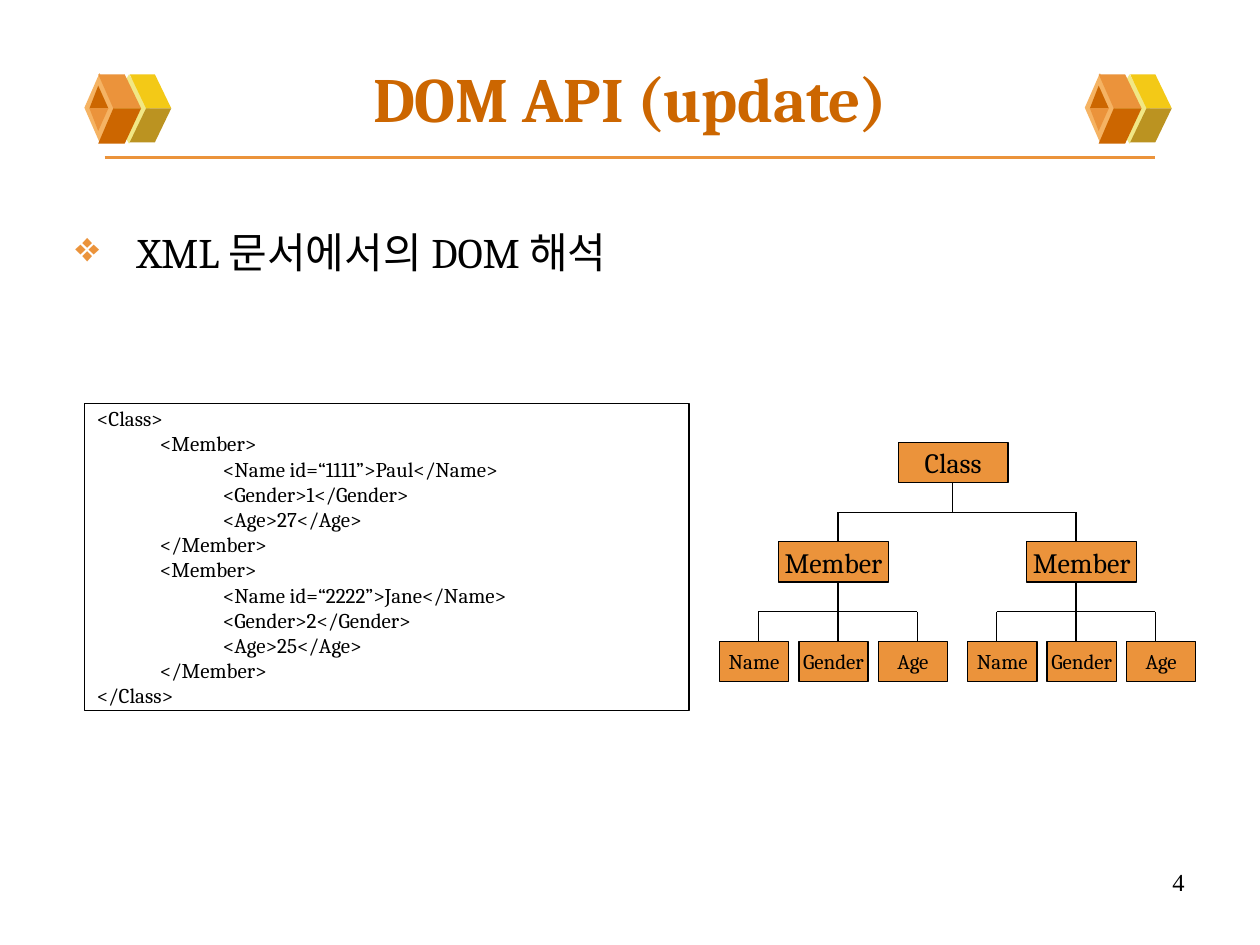
from dataclasses import dataclass

from lxml import etree
from pptx import Presentation
from pptx.dml.color import RGBColor
from pptx.enum.shapes import MSO_CONNECTOR, MSO_SHAPE
from pptx.enum.text import MSO_ANCHOR, PP_ALIGN
from pptx.oxml.ns import qn
from pptx.util import Inches, Pt

RECTANGLE, DIAMOND = MSO_SHAPE.RECTANGLE, MSO_SHAPE.DIAMOND
STRAIGHT = MSO_CONNECTOR.STRAIGHT
TOP, MIDDLE = MSO_ANCHOR.TOP, MSO_ANCHOR.MIDDLE
LEFT, CENTER, RIGHT = PP_ALIGN.LEFT, PP_ALIGN.CENTER, PP_ALIGN.RIGHT

BLACK, ORANGE, RUST, PEACH = "000000", "EB933B", "CC6600", "F5B363"
YELLOW, OLIVE, CREAM = "F3C917", "BB9321", "F1E785"
SERIF = "Cambria"
NODE_HEIGHT = 0.32
EMBLEM_SHIFT = 7.94

CODE = """<Class>
\t<Member>
\t\t<Name id=“1111”>Paul</Name>
\t\t<Gender>1</Gender>
\t\t<Age>27</Age>
\t</Member>
\t<Member>
\t\t<Name id=“2222”>Jane</Name>
\t\t<Gender>2</Gender>
\t\t<Age>25</Age>
\t</Member>
</Class>"""


@dataclass
class Facet:
    points: tuple[tuple[float, float], ...]
    fill: str


@dataclass
class Node:
    label: str
    left: float
    top: float
    stem: float
    width: float = 0.87
    size: int = 16
    children: tuple["Node", ...] = ()


RIGHT_FACETS = (
    Facet(((1.16, 0.86), (1.36, 0.86), (1.23, 0.59), (1.03, 0.59)), YELLOW),
    Facet(((1.16, 0.86), (1.36, 0.86), (1.23, 1.13), (1.03, 1.13)), OLIVE),
)
LEFT_FACETS = (
    Facet(((0.9, 0.86), (1.12, 0.86), (0.99, 0.59), (0.78, 0.59)), ORANGE),
    Facet(((0.9, 0.86), (1.12, 0.86), (0.99, 1.14), (0.78, 1.14)), RUST),
    Facet(((0.78, 0.68), (0.71, 0.86), (0.86, 0.86)), RUST),
    Facet(((0.78, 1.04), (0.71, 0.86), (0.86, 0.86)), ORANGE),
)


def color(code: str) -> RGBColor:
    return RGBColor.from_string(code)


def paint(shape, fill: str | None, outline: str | None = None) -> None:
    shape.shadow.inherit = False
    if fill:
        shape.fill.solid()
        shape.fill.fore_color.rgb = color(fill)
    else:
        shape.fill.background()
    if outline:
        shape.line.color.rgb = color(outline)
        shape.line.width = Pt(0.75)
    else:
        shape.line.fill.background()


def add_shape(page, kind, left: float, top: float, width: float, height: float,
              fill: str | None, outline: str | None = None):
    shape = page.shapes.add_shape(
        kind, Inches(left), Inches(top), Inches(width), Inches(height))
    paint(shape, fill, outline)
    return shape


def add_text_box(page, left: float, top: float, width: float, height: float):
    return page.shapes.add_textbox(
        Inches(left), Inches(top), Inches(width), Inches(height))


def write(box, text: str, size: int, align=LEFT, anchor=MIDDLE, ink: str = BLACK,
          bold: bool = False, wrap: bool = True, font: str = SERIF) -> None:
    frame = box.text_frame
    frame.text = text
    frame.word_wrap = wrap
    frame.vertical_anchor = anchor
    for para in frame.paragraphs:
        para.alignment = align
        para.font.name = font
        para.font.size = Pt(size)
        para.font.bold = bold
        para.font.color.rgb = color(ink)


def add_bullet(para, symbol: str, ink: str, indent: float) -> None:
    settings = para._p.get_or_add_pPr()
    settings.set("marL", str(Inches(indent)))
    settings.set("indent", str(-Inches(indent)))
    bullet = etree.Element(qn("a:buClr"))
    etree.SubElement(bullet, qn("a:srgbClr"), val=ink)
    mark = etree.Element(qn("a:buChar"), char=symbol)
    defaults = settings.find(qn("a:defRPr"))
    defaults.addprevious(bullet)
    defaults.addprevious(mark)


def add_line(page, x1: float, y1: float, x2: float, y2: float,
             ink: str = BLACK, width: float = 0.75) -> None:
    line = page.shapes.add_connector(
        STRAIGHT, Inches(x1), Inches(y1), Inches(x2), Inches(y2))
    line.line.color.rgb = color(ink)
    line.line.width = Pt(width)
    etree.SubElement(line._element.spPr, qn("a:effectLst"))


def add_facet(page, facet: Facet, shift: float) -> None:
    points = [(Inches(x + shift), Inches(y)) for x, y in facet.points]
    builder = page.shapes.build_freeform(*points[0])
    builder.add_line_segments(points[1:], close=True)
    paint(builder.convert_to_shape(), facet.fill)


def add_emblem(page, shift: float) -> None:
    add_shape(page, DIAMOND, 0.86 + shift, 0.59, 0.33, 0.55, CREAM)
    for facet in RIGHT_FACETS:
        add_facet(page, facet, shift)
    add_shape(page, DIAMOND, 0.67 + shift, 0.58, 0.24, 0.55, PEACH)
    for facet in LEFT_FACETS:
        add_facet(page, facet, shift)


def add_tree(page, node: Node) -> None:
    box = add_shape(page, RECTANGLE, node.left, node.top, node.width,
                    NODE_HEIGHT, ORANGE, BLACK)
    write(box, node.label, node.size, align=CENTER, wrap=False)
    if not node.children:
        return
    bottom = node.top + NODE_HEIGHT
    level = node.children[0].top
    middle = (bottom + level) / 2
    add_line(page, node.stem, bottom, node.stem, middle)
    add_line(page, node.children[0].stem, middle, node.children[-1].stem, middle)
    for child in node.children:
        add_line(page, child.stem, middle, child.stem, level)
        add_tree(page, child)


def member(left: float, stem: float, first_leaf: float) -> Node:
    leaves = tuple(
        Node(label, first_leaf + 0.63 * i, 5.09, stem + 0.63 * (i - 1), 0.55, 12)
        for i, label in enumerate(("Name", "Gender", "Age")))
    return Node("Member", left, 4.3, stem, children=leaves)


def main() -> None:
    deck = Presentation()
    deck.slide_width, deck.slide_height = Inches(10), Inches(7.5)
    page = deck.slides.add_slide(deck.slide_layouts[6])

    add_line(page, 0.83, 1.25, 9.17, 1.25, ORANGE, 2.25)
    for shift in (0, EMBLEM_SHIFT):
        add_emblem(page, shift)

    title = add_text_box(page, 0.5, 0.3, 9, 0.95)
    write(title, "DOM API (update)", 36, align=CENTER, ink=RUST, bold=True)

    body = add_text_box(page, 0.5, 1.75, 9, 4.95)
    write(body, "XML 문서에서의 DOM 해석", 24, anchor=TOP)
    topic = body.text_frame.paragraphs[0]
    topic.space_before = Pt(6)
    add_bullet(topic, "❖", ORANGE, 0.49)

    listing = add_shape(page, RECTANGLE, 0.67, 3.2, 4.8, 2.44, None, BLACK)
    write(listing, CODE, 12)

    members = (member(6.18, 6.65, 5.71), member(8.15, 8.54, 7.68))
    add_tree(page, Node("Class", 7.13, 3.51, 7.56, children=members))

    number = add_text_box(page, 7.17, 6.83, 2.33, 0.3)
    write(number, "4", 14, align=RIGHT, anchor=TOP, font="Times New Roman")

    deck.save("out.pptx")


if __name__ == "__main__":
    main()
